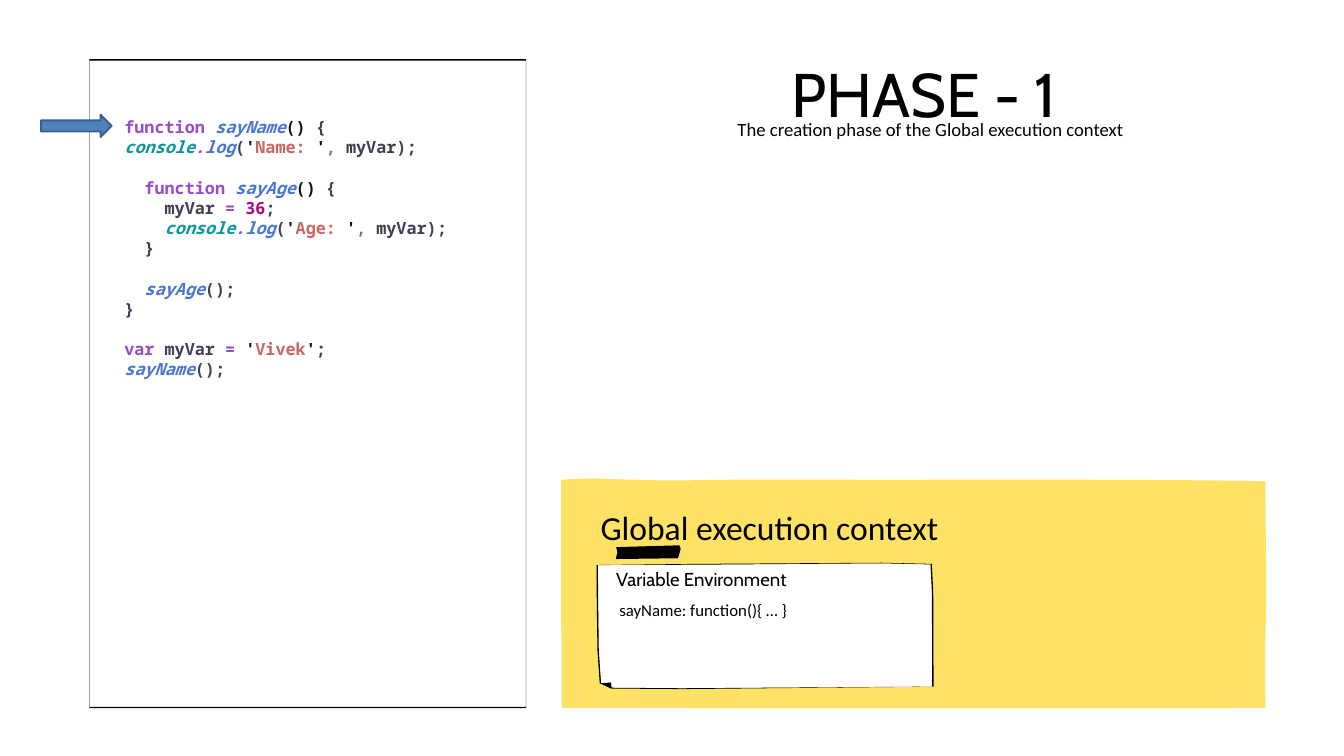
from pptx import Presentation
from pptx import util as u
from pptx.dml.color import RGBColor
from pptx.enum import shapes, text

COLORS = {
    "ink": "000000", "paper": "FFFFFF", "yellow": "FEE266",
    "arrow": "4F81BD", "arrow_edge": "3A5F8C",
    "keyword": "994CC3", "dot": "994CC3", "call": "4876D6",
    "object": "0C969B", "quote": "111111", "plain": "403F53",
    "string": "C96765", "number": "AA0982", "comma": "5F7E97",
}
ITALIC = {"call", "object", "dot"}
CODE_PITCH = 21.6
TILT = 359.8


def log_line(indent, label):
    return [("object", indent + "console"), ("dot", "."), ("call", "log"),
            ("plain", "("), ("quote", "'"), ("string", label), ("quote", "'"),
            ("comma", ","), ("plain", " myVar);")]


def function_line(indent, name):
    return [("keyword", indent + "function "), ("call", name),
            ("quote", "()"), ("plain", " {")]


# Each code line: blank lines above it, then its coloured tokens
CODE = [
    (0, function_line("", "sayName")),
    (0, log_line("", "Name: ")),
    (1, function_line("  ", "sayAge")),
    (0, [("plain", "    myVar "), ("keyword", "= "), ("number", "36"), ("plain", ";")]),
    (0, log_line("    ", "Age: ")),
    (0, [("plain", "  }")]),
    (1, [("call", "  sayAge"), ("plain", "();")]),
    (0, [("plain", "}")]),
    (1, [("keyword", "var "), ("plain", "myVar "), ("keyword", "= "), ("quote", "'"),
         ("string", "Vivek"), ("quote", "'"), ("plain", ";")]),
    (0, [("call", "sayName"), ("plain", "();")]),
]

# Outlines in cm: pairs are corners, sixes are Bézier curves
PANEL = [
    (21.21, 18.14), (21.21, 20.5),
    (21.21, 21.67, 21.21, 22.94, 21.21, 23.62),
    (21.23, 25.68, 21.72, 26.47, 21.72, 26.47),
    (21.72, 26.47, 24.18, 26.75, 26.39, 26.77),
    (47.83, 26.77),
    (47.83, 26.77, 47.8, 25.04, 47.83, 23.93),
    (47.88, 22.58, 47.85, 21.56, 47.85, 20.65),
    (47.83, 19.18, 47.83, 18.19, 47.83, 18.19),
    (47.83, 18.19, 44.5, 18.11, 33.53, 18.14),
    (31.67, 18.14, 27.94, 18.11, 25.93, 18.16),
    (23.75, 18.19, 22.48, 18.01, 21.21, 18.14),
]
PANEL_CORNER = [(21.23, 22.89), (21.23, 26.77), (46.36, 26.77)]
NOTE_EDGE = [(22.56, 21.34), (22.56, 22.53), (22.58, 24.54), (22.66, 25.81),
             (23.09, 26.01), (25.76, 26.04), (35.28, 25.98), (35.28, 22.38),
             (35.23, 21.34), (33.32, 21.29), (26.29, 21.31)]
NOTE_SHEET = [(22.61, 21.34), (22.61, 22.53), (22.63, 24.54), (22.71, 25.81),
              (23.11, 25.98), (25.76, 26.01), (35.23, 25.98), (35.23, 22.38),
              (35.18, 21.36), (33.32, 21.31), (26.29, 21.34)]
NOTE_FOLD = [(23.11, 25.98), (23.09, 25.78), (22.71, 25.81)]
TAPE = [(25.68, 20.62), (25.73, 20.75), (25.68, 20.93), (25.63, 21.11),
        (23.29, 21.13), (23.29, 21.06), (23.34, 20.88), (23.29, 20.68)]


def color(name):
    return RGBColor.from_string(COLORS[name])


def rectangle(left, top, right, bottom):
    return [(left, top), (left, bottom), (right, bottom), (right, top)]


def flatten(outline, steps=8):
    """Turn corners and Bézier curves into points in EMU."""
    points = []
    for part in outline:
        if len(part) == 2:
            points.append(part)
            continue
        x0, y0 = points[-1]
        x1, y1, x2, y2, x3, y3 = part
        for step in range(1, steps + 1):
            t = step / steps
            a, b, c, d = (1 - t) ** 3, 3 * t * (1 - t) ** 2, 3 * t * t * (1 - t), t ** 3
            points.append((a * x0 + b * x1 + c * x2 + d * x3,
                           a * y0 + b * y1 + c * y2 + d * y3))
    return [(u.Cm(x), u.Cm(y)) for x, y in points]


def add_outline(slide, fill, *outlines, rotation=0):
    contours = [flatten(outline) for outline in outlines]
    builder = slide.shapes.build_freeform(*contours[0][0])
    for number, points in enumerate(contours):
        if number:
            builder.move_to(*points[0])
        builder.add_line_segments(points[1:], close=True)
    shape = builder.convert_to_shape()
    shape.shadow.inherit = False
    shape.fill.solid()
    shape.fill.fore_color.rgb = color(fill)
    shape.line.fill.background()
    shape.rotation = rotation


def add_arrow(slide, *place):
    arrow = slide.shapes.add_shape(shapes.MSO_SHAPE.RIGHT_ARROW, *map(u.Cm, place))
    arrow.shadow.inherit = False
    arrow.fill.solid()
    arrow.fill.fore_color.rgb = color("arrow")
    arrow.line.color.rgb = color("arrow_edge")
    arrow.line.width = u.Pt(2)


def set_frame(box, place, **frame_format):
    for name, length in zip(("left", "top", "width", "height"), place):
        setattr(box, name, u.Cm(length))
    settings = {"word_wrap": True, "auto_size": text.MSO_AUTO_SIZE.NONE,
                "vertical_anchor": text.MSO_ANCHOR.TOP, **frame_format}
    for name, value in settings.items():
        setattr(box.text_frame, name, value)


def add_box(slide, place, **frame_format):
    box = slide.shapes.add_textbox(*map(u.Cm, place))
    set_frame(box, place, **frame_format)
    return box


def add_span(para, words, font, size, ink="ink", **font_format):
    span = para.add_run()
    span.text = words
    for name, value in {"name": font, "size": u.Pt(size), **font_format}.items():
        setattr(span.font, name, value)
    span.font.color.rgb = color(ink)
    return span


def write_line(box, words, font, size, **para_format):
    para = box.text_frame.paragraphs[0]
    for name, value in para_format.items():
        setattr(para, name, value)
    return add_span(para, words, font, size)


def write_code(box):
    for number, (blanks, tokens) in enumerate(CODE):
        frame = box.text_frame
        para = frame.add_paragraph() if number else frame.paragraphs[0]
        para.line_spacing = u.Pt(CODE_PITCH)
        if blanks:
            para.space_before = u.Pt(CODE_PITCH * blanks)
        for kind, words in tokens:
            add_span(para, words, "Noto Sans Mono", 18, kind,
                     bold=True, italic=kind in ITALIC)


def main():
    deck = Presentation()
    deck.slide_width, deck.slide_height = u.Cm(50.8), u.Cm(28.58)
    slide = deck.slides.add_slide(deck.slide_layouts[0])

    # Title and subtitle
    title, subtitle = slide.placeholders
    centred = {"alignment": text.PP_ALIGN.CENTER, "space_before": u.Pt(0)}
    set_frame(title, (29.34, 0.53, 11.18, 4.17), word_wrap=False)
    write_line(title, "PHASE - 1", "Cabin", 66, line_spacing=u.Pt(121), **centred)
    set_frame(subtitle, (24.77, 4.34, 20.8, 1.12))
    write_line(subtitle, "The creation phase of the Global execution context",
               "Calibri", 20, **centred)

    # Code panel with the current-line arrow
    add_outline(slide, "ink", rectangle(3.38, 2.24, 19.89, 26.77),
                rectangle(3.39, 2.29, 19.88, 26.72))
    add_arrow(slide, 1.55, 4.34, 2.67, 0.84)
    write_code(add_box(slide, (4.45, 4.3, 14.63, 11.02)))

    # Global execution context
    add_outline(slide, "yellow", PANEL_CORNER)
    add_outline(slide, "yellow", PANEL)
    heading = add_box(slide, (22.45, 19.05, 15.44, 1.8))
    write_line(heading, "Global execution context", "Calibri", 36)

    # Variable environment note
    add_outline(slide, "paper", NOTE_SHEET, rotation=TILT)
    add_outline(slide, "ink", NOTE_EDGE, NOTE_SHEET, NOTE_FOLD, rotation=TILT)
    add_outline(slide, "ink", TAPE, rotation=TILT)
    no_margins = {f"margin_{side}": 0 for side in ("left", "top", "right", "bottom")}
    label = add_box(slide, (23.29, 21.46, 13.77, 0.86), **no_margins)
    label.rotation = TILT
    write_line(label, "Variable Environment", "Cabin", 20)
    entry = add_box(slide, (23.16, 22.53, 11.76, 1.02))
    write_line(entry, "sayName: function(){ … }", "Calibri", 18)

    deck.save("out.pptx")


if __name__ == "__main__":
    main()
